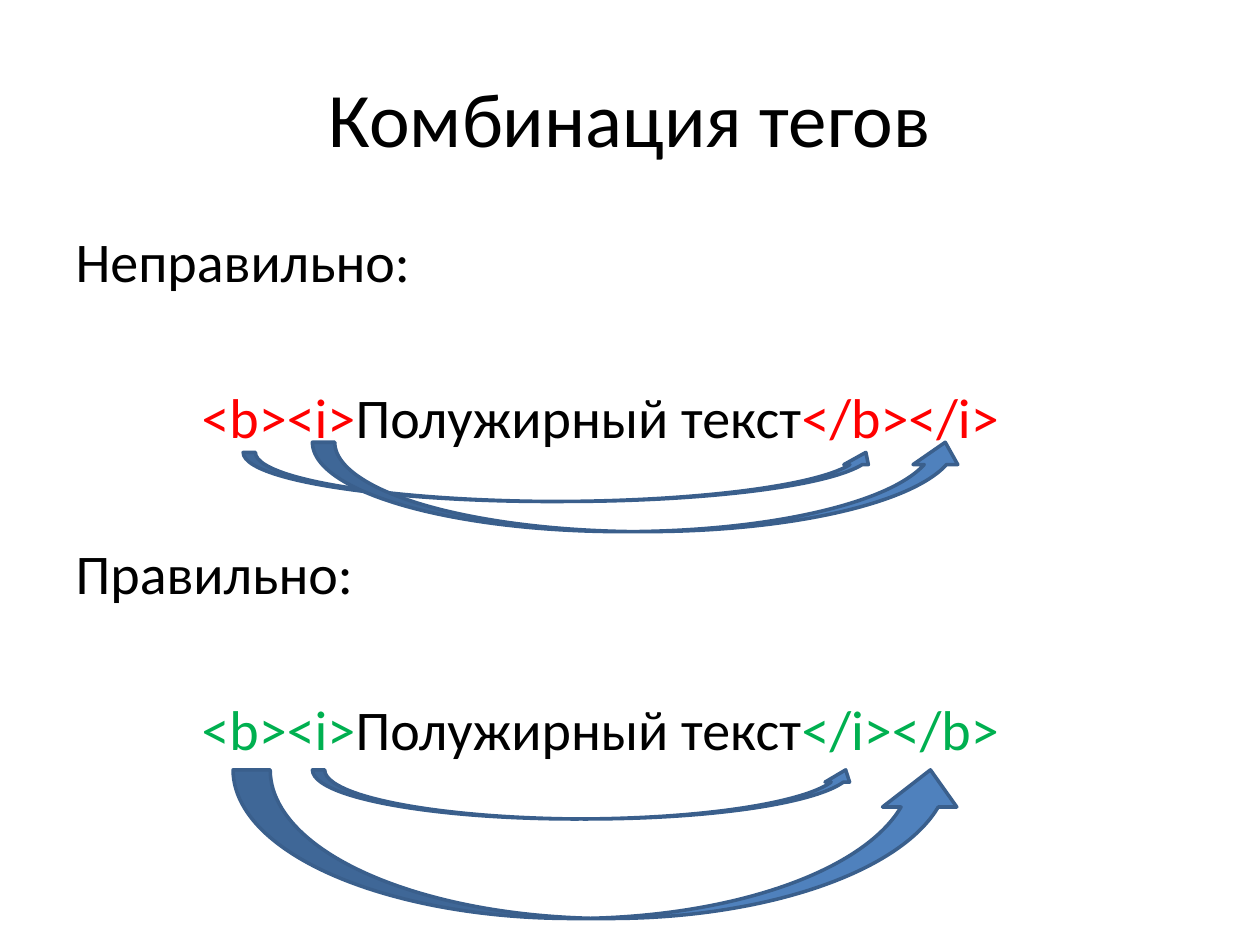
import pptx
import pptx.util
import pptx.dml.color
import pptx.enum.shapes
import pptx.enum.text
import pptx.oxml.ns
import lxml.etree

Inches = pptx.util.Inches
Pt = pptx.util.Pt
ANCHOR = pptx.enum.text.MSO_ANCHOR
ALIGN = pptx.enum.text.PP_ALIGN
BLACK, RED, GREEN = "000000", "FF0000", "00B050"


def color(value):
    return pptx.dml.color.RGBColor.from_string(value)


def apply_format(target, values):
    for name, value in values.items():
        setattr(target, name, value)


class TagSlide:
    font = "Calibri"
    arrow_fill = "4F81BD"
    arrow_line = "3A5F8C"
    line_gap = Pt(50.7)

    def __init__(self, presentation):
        self.slide = presentation.slides.add_slide(presentation.slide_layouts[1])

    def place(self, shape, left, top, width, height, anchor):
        apply_format(shape, {
            "left": Inches(left), "top": Inches(top),
            "width": Inches(width), "height": Inches(height),
        })
        apply_format(shape.text_frame, {
            "word_wrap": True,
            "auto_size": pptx.enum.text.MSO_AUTO_SIZE.NONE,
            "vertical_anchor": anchor,
        })

    def add_text(self, paragraph, text, size, text_color):
        run = paragraph.add_run()
        run.text = text
        apply_format(run.font, {"name": self.font, "size": Pt(size)})
        run.font.color.rgb = color(text_color)

    def title(self, text, box):
        shape = self.slide.shapes.title
        self.place(shape, *box, ANCHOR.MIDDLE)
        paragraph = shape.text_frame.paragraphs[0]
        paragraph.alignment = ALIGN.CENTER
        self.add_text(paragraph, text, 44, BLACK)

    def body(self, lines, box):
        shape = self.slide.placeholders[1]
        self.place(shape, *box, ANCHOR.TOP)
        frame = shape.text_frame
        for index, (indent, runs) in enumerate(lines):
            paragraph = frame.add_paragraph() if index else frame.paragraphs[0]
            apply_format(paragraph, {
                "alignment": ALIGN.LEFT,
                "space_before": self.line_gap if index else Pt(0),
            })
            properties = paragraph._p.get_or_add_pPr()
            properties.set("marL", str(Inches(indent)))
            properties.set("indent", "0")
            lxml.etree.SubElement(properties, pptx.oxml.ns.qn("a:buNone"))
            for text, text_color in runs:
                self.add_text(paragraph, text, 32, text_color)

    def arrow(self, left, top, width, height):
        shape = self.slide.shapes.add_shape(
            pptx.enum.shapes.MSO_SHAPE.CURVED_UP_ARROW,
            Inches(left), Inches(top), Inches(width), Inches(height))
        shape.shadow.inherit = False
        shape.fill.solid()
        shape.fill.fore_color.rgb = color(self.arrow_fill)
        shape.line.color.rgb = color(self.arrow_line)
        shape.line.width = Pt(2)


def tagged_text(closing_tags, tag_color):
    return [("<b><i>", tag_color), ("Полужирный текст", BLACK), (closing_tags, tag_color)]


def main():
    presentation = pptx.Presentation()
    presentation.slide_width = Inches(10)
    presentation.slide_height = Inches(7.5)
    tags = TagSlide(presentation)
    tags.title("Комбинация тегов", (0.5, 0.3, 9, 1.25))
    tags.body([
        (0, [("Неправильно:", BLACK)]),
        (1, tagged_text("</b></i>", RED)),
        (0, [("Правильно:", BLACK)]),
        (1, tagged_text("</i></b>", GREEN)),
    ], (0.5, 1.75, 9, 4.95))
    for box in [
        (2.48, 6.11, 4.33, 0.39),
        (1.85, 6.11, 5.83, 1.18),
        (1.93, 3.59, 5.04, 0.39),
        (2.48, 3.51, 5.2, 0.71),
    ]:
        tags.arrow(*box)
    presentation.save("out.pptx")


if __name__ == "__main__":
    main()
